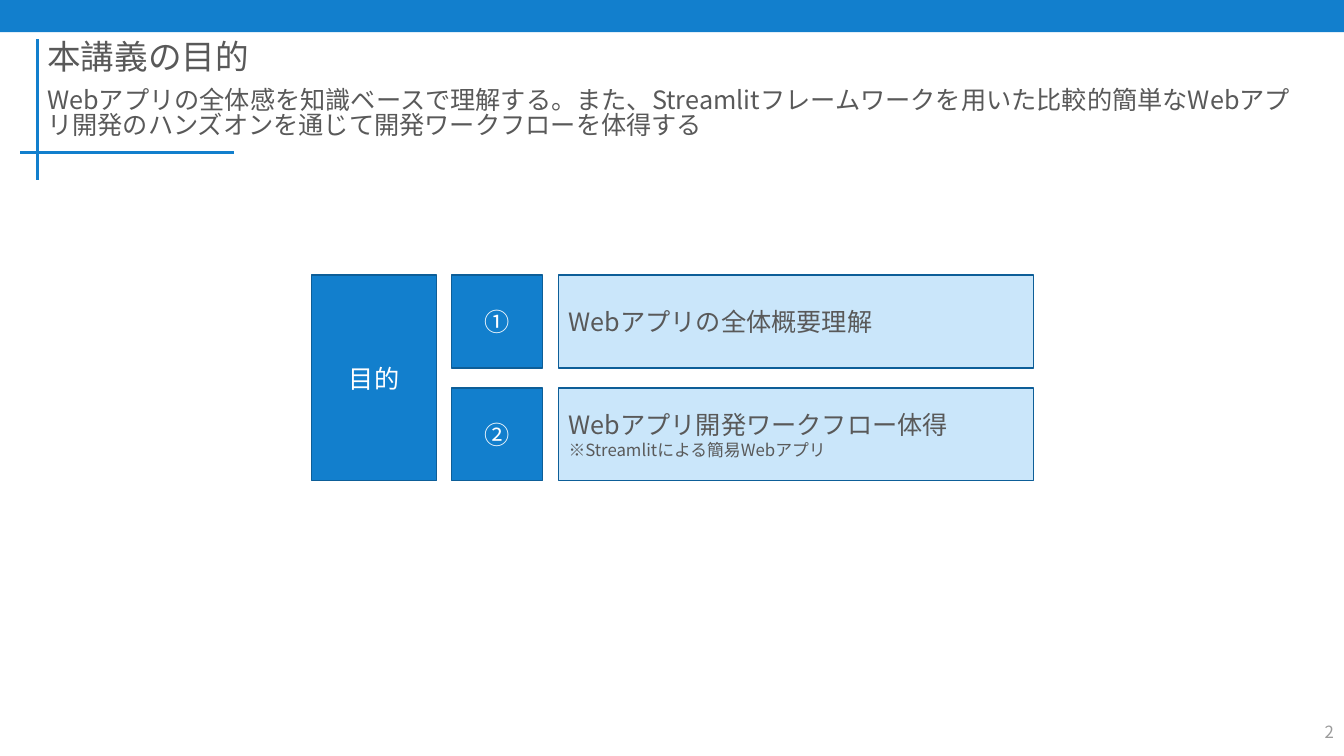
"""Build the lecture-purpose slide: a heading band and a two-row goal grid."""
from dataclasses import dataclass

from lxml import etree
from pptx import Presentation
from pptx import util as u
from pptx.dml.color import RGBColor
from pptx.enum import shapes, text
from pptx.oxml.ns import qn

TITLE = "本講義の目的"
SUMMARY = ("Webアプリの全体感を知識ベースで理解する。また、Streamlitフレームワークを用いた"
           "比較的簡単なWebアプリ開発のハンズオンを通じて開発ワークフローを体得する")
PAGE_NUMBER = "2"
GROUP = "目的"
GOALS = [
    ("①", ["Webアプリの全体概要理解"]),
    ("②", ["Webアプリ開発ワークフロー体得", "※Streamlitによる簡易Webアプリ"]),
]


@dataclass(frozen=True)
class Theme:
    """Colours, font and type sizes."""
    blue: str = "127FCD"
    edge: str = "0D5E98"
    pale: str = "CAE6FA"
    ink: str = "595959"
    grey: str = "9B9B9B"
    white: str = "FFFFFF"
    font: str = "Noto Sans CJK JP"
    heading: int = 24
    body: int = 18
    small: int = 12


THEME = Theme()
WIDTH, HEIGHT = 13.33, 7.5
BAND = 0.32
MARGIN = 0.37
TEXT_WIDTH = 12.6
GRID_TOP, ROW_HEIGHT, ROW_GAP = 2.73, 0.92, 0.2
COLUMNS = {"group": (3.09, 1.24), "number": (4.48, 0.9), "goal": (5.54, 4.71)}
RULES = [(MARGIN, 0.39, MARGIN, 1.79), (2.32, 1.51, 0.2, 1.51)]
ALIGN = text.PP_ALIGN
ANCHOR = text.MSO_ANCHOR


def inches(*lengths):
    return [u.Inches(length) for length in lengths]


def write(box, lines, sizes, color, align=ALIGN.LEFT, anchor=ANCHOR.MIDDLE):
    frame = box.text_frame
    frame.word_wrap = True
    frame.auto_size = text.MSO_AUTO_SIZE.NONE
    frame.vertical_anchor = anchor
    para = frame.paragraphs[0]
    para.text = "\v".join(lines)
    para.alignment = align
    for span, size in zip(para.runs, sizes):
        font = span.font
        font.size = u.Pt(size)
        font.color.rgb = RGBColor.from_string(color)
        font.name = THEME.font
        etree.SubElement(font._element, qn("a:ea"), typeface=THEME.font)
    return para


def add_block(page, area, fill, edge=None):
    box = page.shapes.add_shape(shapes.MSO_SHAPE.RECTANGLE, *inches(*area))
    box.shadow.inherit = False
    box.fill.solid()
    box.fill.fore_color.rgb = RGBColor.from_string(fill)
    if edge:
        box.line.color.rgb = RGBColor.from_string(edge)
        box.line.width = u.Pt(1)
    else:
        box.line.fill.background()
    return box


def add_rule(page, ends):
    rule = page.shapes.add_connector(shapes.MSO_CONNECTOR.STRAIGHT, *inches(*ends))
    rule.line.color.rgb = RGBColor.from_string(THEME.blue)
    rule.line.width = u.Pt(2.25)
    etree.SubElement(rule._element.spPr, qn("a:effectLst"))


def add_heading(page):
    add_block(page, (0, 0, WIDTH, BAND), THEME.blue)
    for ends in RULES:
        add_rule(page, ends)

    title = page.shapes.title
    title.left, title.top, title.width, title.height = inches(MARGIN, BAND, TEXT_WIDTH, 0.52)
    write(title, [TITLE], [THEME.heading], THEME.ink).line_spacing = 0.9

    number = page.shapes.add_textbox(*inches(WIDTH - 0.55, 7.1, 0.55, 0.32))
    write(number, [PAGE_NUMBER], [THEME.small], THEME.grey, ALIGN.RIGHT)

    summary = page.shapes.add_textbox(*inches(MARGIN, 0.85, TEXT_WIDTH, 0.63))
    para = write(summary, [SUMMARY], [THEME.body], THEME.ink, anchor=ANCHOR.TOP)
    para.line_spacing = 0.8
    para.space_before = u.Pt(10)


def add_cell(page, column, row, lines, rows=1):
    left, width = COLUMNS[column]
    top = GRID_TOP + row * (ROW_HEIGHT + ROW_GAP)
    height = rows * ROW_HEIGHT + (rows - 1) * ROW_GAP
    is_goal = column == "goal"
    fill, color, align = ((THEME.pale, THEME.ink, ALIGN.LEFT) if is_goal
                          else (THEME.blue, THEME.white, ALIGN.CENTER))
    box = add_block(page, (left, top, width, height), fill, THEME.edge)
    write(box, lines, [THEME.body, THEME.small], color, align)


def main():
    deck = Presentation()
    deck.slide_width, deck.slide_height = inches(WIDTH, HEIGHT)
    page = deck.slides.add_slide(deck.slide_layouts.get_by_name("Title Only"))
    add_heading(page)
    add_cell(page, "group", 0, [GROUP], rows=len(GOALS))
    for row, (number, lines) in enumerate(GOALS):
        add_cell(page, "number", row, [number])
        add_cell(page, "goal", row, lines)
    deck.save("out.pptx")


if __name__ == "__main__":
    main()
